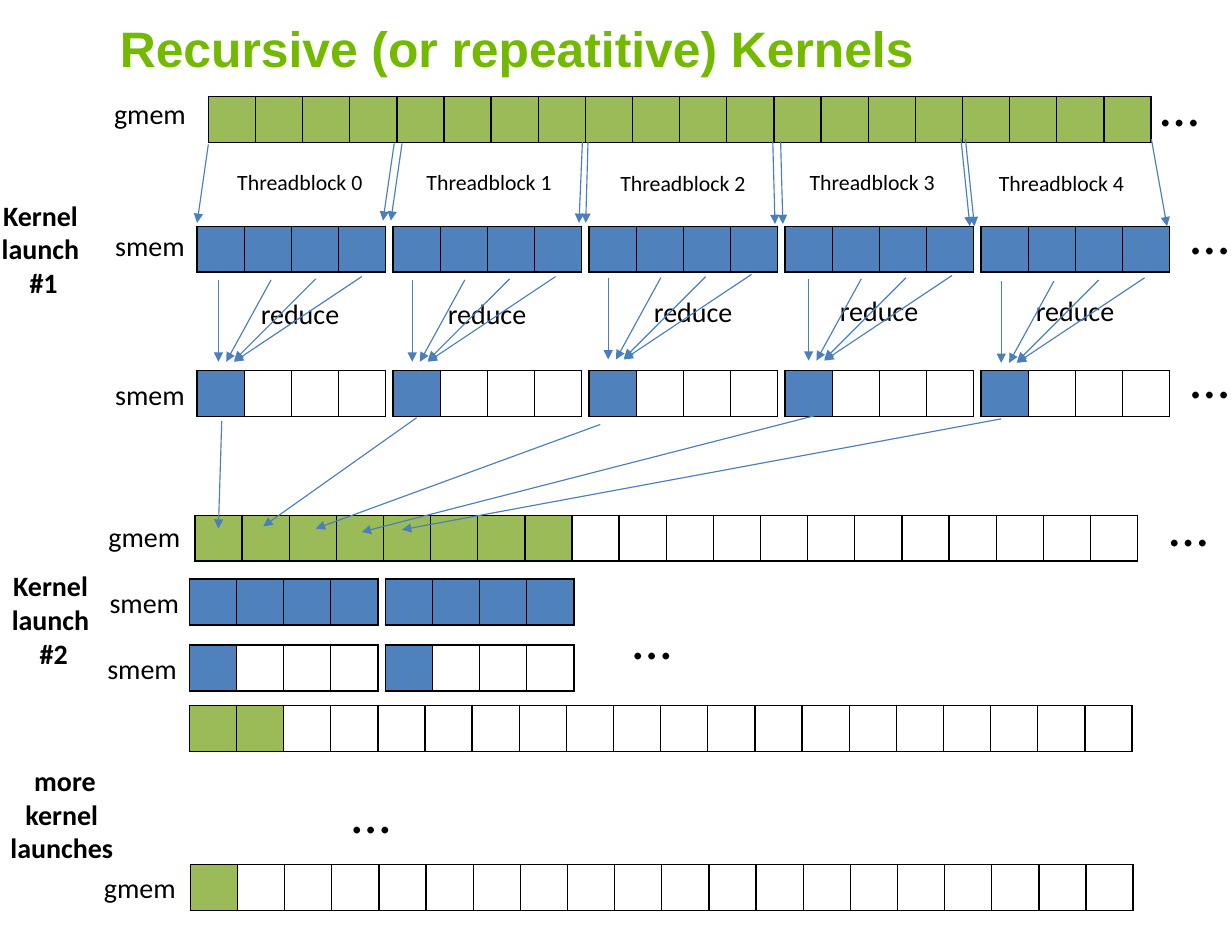
from lxml.etree import SubElement as Sub
from pptx import Presentation
from pptx.dml.color import RGBColor as Rgb
from pptx.enum.shapes import MSO_CONNECTOR as Conn
from pptx.enum.text import MSO_ANCHOR as Anchor, MSO_AUTO_SIZE as Fit, PP_ALIGN as Align
from pptx.oxml.ns import qn
from pptx.util import Inches, Pt

HEX = {"title": "72B900", "text": "000000", "edge": "000000",
       "green": "9BBB59", "blue": "4F81BD", "blank": "FFFFFF", "line": "4B7EBC"}
CELL = 8.42 / 20
HIGH = 0.41
STEP = 1.75  # pitch of the thread blocks


def style(run, size, color="text", bold=False, face="Calibri"):
    font = run.font
    font.name, font.size, font.bold = face, Pt(size), bold
    font.color.rgb = Rgb.from_string(HEX[color])


def add_text(shapes, x, y, w, h, paras, size=18, bold=False, align=Align.LEFT):
    """Each paragraph is a list of lines."""
    box = shapes.add_textbox(Inches(x), Inches(y), Inches(w), Inches(h))
    frame = box.text_frame
    frame.word_wrap, frame.auto_size = False, Fit.SHAPE_TO_FIT_TEXT
    for i, lines in enumerate(paras):
        para = frame.add_paragraph() if i else frame.paragraphs[0]
        para.alignment = align
        for j, line in enumerate(lines):
            if j:
                para.add_line_break()
            run = para.add_run()
            run.text = line
            style(run, size, bold=bold)


def add_mem(shapes, x, y, kind):
    add_text(shapes, x, y, 0.85 if kind == "gmem" else 0.83, 0.4, [[kind]])


def add_dots(shapes, x, y):
    add_text(shapes, x, y, 0.55, 0.71, [["…"]], 36)


def add_head(shapes, x, y, w, paras):
    add_text(shapes, x, y, w, 1.01, paras, bold=True, align=Align.CENTER)


def add_edges(cell):
    props = cell._tc.get_or_add_tcPr()
    for side in ("a:lnL", "a:lnR", "a:lnT", "a:lnB"):
        edge = Sub(props, qn(side), w=str(Pt(1)))
        fill = Sub(edge, qn("a:solidFill"))
        Sub(fill, qn("a:srgbClr"), val=HEX["edge"])


def add_row(shapes, x, y, count, full, color):
    """A row of count cells; the first full ones are coloured."""
    table = shapes.add_table(1, count, Inches(x), Inches(y),
                             Inches(CELL * count), Inches(HIGH)).table
    table.first_row = table.horz_banding = False
    for i, cell in enumerate(table.iter_cells()):
        cell.margin_top = cell.margin_bottom = Inches(0.02)
        add_edges(cell)
        cell.fill.solid()
        cell.fill.fore_color.rgb = Rgb.from_string(HEX[color if i < full else "blank"])


def add_blocks(shapes, x, y, count, full):
    for i in range(count):
        add_row(shapes, x + i * STEP, y, 4, full, "blue")


def add_arrows(shapes, x, y, ends):
    for x1, y1, x2, y2 in ends:
        line = shapes.add_connector(Conn.STRAIGHT, Inches(x + x1), Inches(y + y1),
                                    Inches(x + x2), Inches(y + y2))
        line.line.color.rgb = Rgb.from_string(HEX["line"])
        line.line.width = Pt(0.75)
        Sub(line.line._get_or_add_ln(), qn("a:tailEnd"), type="triangle")
        Sub(line._element.spPr, qn("a:effectLst"))


def set_title(slide, x, y, w, h):
    title = slide.shapes.title
    title.left, title.top, title.width, title.height = map(Inches, (x, y, w, h))
    frame = title.text_frame
    frame.margin_left = frame.margin_right = frame.margin_top = frame.margin_bottom = 0
    frame.vertical_anchor = Anchor.TOP
    frame.word_wrap = True
    para = frame.paragraphs[0]
    para.alignment = Align.LEFT
    run = para.add_run()
    run.text = "Recursive (or repeatitive) Kernels"
    style(run, 32, "title", True, "Arial")


def add_first(shapes, x, y):
    # Memory rows
    add_row(shapes, x + 0.1, y, 20, 20, "green")
    add_blocks(shapes, x, y + 1.16, 5, 4)
    add_blocks(shapes, x, y + 2.45, 5, 1)
    # Row labels
    add_head(shapes, x - 1.85, y + 0.86, 0.96, [["Kernel ", "launch "], ["#1"]])
    add_mem(shapes, x - 0.84, y - 0.05, "gmem")
    add_mem(shapes, x - 0.83, y + 1.13, "smem")
    add_mem(shapes, x - 0.83, y + 2.46, "smem")
    for dx, dy in ((8.5, -0.28), (8.77, 0.86), (8.77, 2.15)):
        add_dots(shapes, x + dx, y + dy)
    # Load into each thread block
    add_arrows(shapes, x, y, [
        (0.1, 0.43, 0, 1.13), (1.76, 0.42, 1.66, 1.11), (1.83, 0.42, 1.73, 1.11),
        (3.44, 0.41, 3.41, 1.13), (3.49, 0.41, 3.47, 1.13),
        (5.14, 0.4, 5.16, 1.14), (5.21, 0.4, 5.23, 1.14),
        (6.82, 0.38, 6.9, 1.16), (6.86, 0.38, 6.94, 1.16), (8.52, 0.38, 8.66, 1.16)])
    names = ((0.26, 0.6), (1.95, 0.6), (3.68, 0.61), (5.37, 0.6), (7.06, 0.61))
    for i, (dx, dy) in enumerate(names):
        add_text(shapes, x + dx, y + dy, 1.33, 0.34, [[f"Threadblock {i}"]], 14)
    # Reduce within each block
    for dx, dy in ((0.47, 1.74), (2.14, 1.74), (3.98, 1.72), (5.64, 1.71), (7.39, 1.71)):
        add_text(shapes, x + dx, y + dy, 0.91, 0.4, [["reduce"]])
    fan = [(0, 0, 0, 0.73), (0.47, 0, 0.07, 0.73),
           (0.87, -0.01, 0.14, 0.72), (1.28, -0.03, 0.14, 0.73)]
    for dx, dy in ((0.19, 1.64), (1.92, 1.64), (3.67, 1.62), (5.46, 1.63), (7.18, 1.65)):
        group = shapes.add_group_shape()
        add_arrows(group.shapes, x + dx, y + dy, fan)
    # Gather the results into global memory
    add_arrows(shapes, x, y, [
        (0.22, 2.9, 0.19, 3.86), (1.96, 2.87, 0.59, 3.84), (3.6, 2.93, 1.06, 3.86),
        (5.52, 2.85, 1.47, 3.89), (7.18, 2.88, 1.83, 3.87)])


def add_second(shapes, x, y):
    add_row(shapes, x + 0.05, y, 20, 8, "green")
    add_blocks(shapes, x, y + 0.57, 2, 4)
    add_blocks(shapes, x, y + 1.16, 2, 1)
    add_row(shapes, x, y + 1.7, 20, 2, "green")
    add_head(shapes, x - 1.69, y + 0.43, 0.96, [["Kernel ", "launch "], ["#2"]])
    add_mem(shapes, x - 0.82, y - 0.01, "gmem")
    add_mem(shapes, x - 0.81, y + 0.58, "smem")
    add_mem(shapes, x - 0.83, y + 1.17, "smem")
    add_dots(shapes, x + 8.65, y - 0.27)
    add_dots(shapes, x + 3.86, y + 0.74)


def add_more(shapes, x, y):
    add_head(shapes, x - 1.71, y, 1.18, [["more"], ["kernel ", "launches "]])
    add_dots(shapes, x + 1.34, y + 0.12)
    add_row(shapes, x, y + 0.95, 20, 1, "green")
    add_mem(shapes, x - 0.87, y + 0.95, "gmem")


def main():
    deck = Presentation()
    deck.slide_width, deck.slide_height = Inches(11), Inches(8.5)
    slide = deck.slides.add_slide(deck.slide_layouts[5])
    set_title(slide, 1.07, 0.16, 8.83, 0.54)
    # The first launch comes last, as its arrows lie over the second
    add_second(slide.shapes, 1.69, 4.6)
    add_more(slide.shapes, 1.7, 6.77)
    add_first(slide.shapes, 1.76, 0.86)
    deck.save("out.pptx")


if __name__ == "__main__":
    main()
